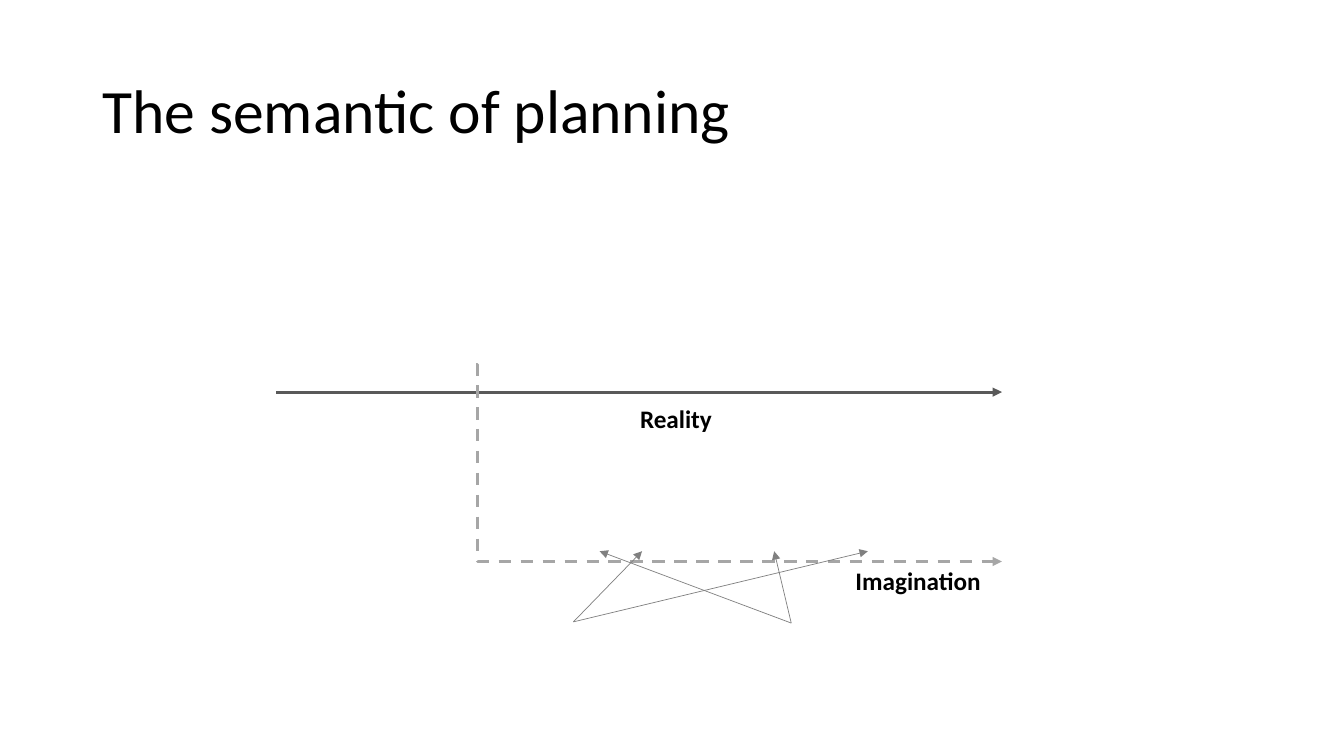
import dataclasses

import pptx
import pptx.dml.color
import pptx.enum.dml
import pptx.enum.shapes
import pptx.enum.text
import pptx.oxml
import pptx.oxml.ns
import pptx.util

Cm = pptx.util.Cm
Connector = pptx.enum.shapes.MSO_CONNECTOR
Anchor = pptx.enum.text.MSO_ANCHOR
AutoSize = pptx.enum.text.MSO_AUTO_SIZE


@dataclasses.dataclass(frozen=True)
class Theme:
    font: str = "Calibri"
    text: str = "000000"
    reality: str = "595959"
    imagination: str = "A6A6A6"
    link: str = "808080"
    title_size: int = 44
    label_size: int = 18
    timeline_width: float = 2.25
    link_width: float = 0.5


theme = Theme()
deck = pptx.Presentation()
deck.slide_width, deck.slide_height = Cm(33.87), Cm(19.05)
page = deck.slides.add_slide(deck.slide_layouts[6])


def add_text(words, place, size, bold, frame_format):
    box = page.shapes.add_textbox(*map(Cm, place))
    for name, value in {"word_wrap": True, **frame_format}.items():
        setattr(box.text_frame, name, value)
    para = box.text_frame.paragraphs[0]
    span = para.add_run()
    span.text = words
    font_format = {"name": theme.font, "size": pptx.util.Pt(size), "bold": bold}
    for name, value in font_format.items():
        setattr(span.font, name, value)
    span.font.color.rgb = pptx.dml.color.RGBColor.from_string(theme.text)
    return para


def add_arrow(kind, start, end, color, width):
    """Draw a connector with a triangle at its end and no shadow."""
    arrow = page.shapes.add_connector(kind, *map(Cm, start + end))
    arrow.line.color.rgb = pptx.dml.color.RGBColor.from_string(color)
    arrow.line.width = pptx.util.Pt(width)
    properties = arrow.line._get_or_add_ln()
    pptx.oxml.ns.qn("a:tailEnd")
    head = pptx.oxml.parse_xml(
        f'<a:tailEnd {pptx.oxml.ns.nsdecls("a")} type="triangle"/>')
    properties.append(head)
    effects = pptx.oxml.parse_xml(f'<a:effectLst {pptx.oxml.ns.nsdecls("a")}/>')
    properties.addnext(effects)
    return arrow


title = add_text("The semantic of planning", (2.33, 1.02, 29.21, 3.68),
                 theme.title_size, False, {"vertical_anchor": Anchor.MIDDLE})
title.line_spacing = 0.9

timeline_end = 25.25
add_arrow(Connector.STRAIGHT, (6.96, 9.88), (timeline_end, 9.88),
          theme.reality, theme.timeline_width)

branch = add_arrow(Connector.ELBOW, (12, 9.19), (timeline_end, 14.15),
                   theme.imagination, theme.timeline_width)
branch.line.dash_style = pptx.enum.dml.MSO_LINE.DASH
# The bend sits almost at the start, so the branch drops straight down.
bend = branch._element.spPr.find(pptx.oxml.ns.qn("a:prstGeom")).get_or_add_avLst()
bend.append(pptx.oxml.parse_xml(
    f'<a:gd {pptx.oxml.ns.nsdecls("a")} name="adj1" fmla="val 300"/>'))

labels = {
    "Reality": (15.88, 10.03, 2.64, 1.02),
    "Imagination": (21.31, 14.12, 3.96, 1.02),
}
for words, place in labels.items():
    add_text(words, place, theme.label_size, True,
             {"auto_size": AutoSize.SHAPE_TO_FIT_TEXT})

link_top = 13.89
link_ends = {
    (14.45, 15.67): (21.87, 16.18),
    (19.94, 15.7): (19.51, 15.11),
}
for source, targets in link_ends.items():
    for target in targets:
        add_arrow(Connector.STRAIGHT, source, (target, link_top),
                  theme.link, theme.link_width)

deck.save("out.pptx")
